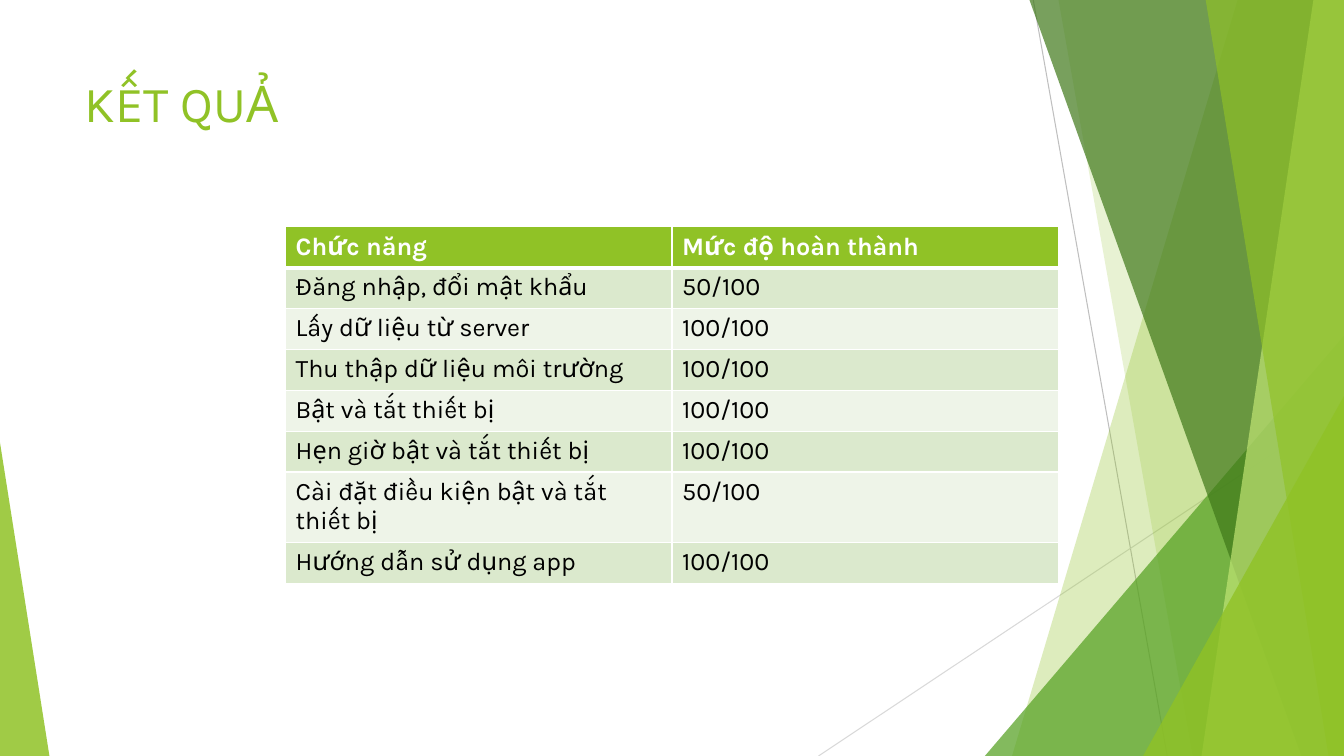
import pptx
import pptx.dml.color
import pptx.enum.shapes
import pptx.enum.text
import pptx.oxml.ns
import pptx.util
from lxml import etree

COLORS = {
    "lime": "90C226",
    "green": "54A021",
    "forest": "3F7819",
    "pale": "C0E474",
    "grey": "BFBFBF",
    "silver": "D9D9D9",
    "band": "DBE9CD",
    "band_light": "EEF4E8",
    "white": "FFFFFF",
    "black": "000000",
}
FONT = "Karla"
WIDTH = pptx.util.Inches(13.33)
HEIGHT = pptx.util.Inches(7.5)
FACET_TOP = -0.1

RESULTS = [
    ("Chức năng", "Mức độ hoàn thành"),
    ("Đăng nhập, đổi mật khẩu", "50/100"),
    ("Lấy dữ liệu từ server", "100/100"),
    ("Thu thập dữ liệu môi trường", "100/100"),
    ("Bật và tắt thiết bị", "100/100"),
    ("Hẹn giờ bật và tắt thiết bị", "100/100"),
    ("Cài đặt điều kiện bật và tắt thiết bị", "50/100"),
    ("Hướng dẫn sử dụng app", "100/100"),
]


def across(percent):
    return round(WIDTH * percent / 100)


def down(percent):
    return round(HEIGHT * percent / 100)


def rgb(name):
    return pptx.dml.color.RGBColor.from_string(COLORS[name])


def sub(parent, tag, **attrs):
    return etree.SubElement(parent, pptx.oxml.ns.qn(tag), **attrs)


def paint(sp, color, opacity):
    sp.shadow.inherit = False
    sp.line.fill.background()
    sp.fill.solid()
    sp.fill.fore_color.rgb = rgb(color)
    clr = next(sp._element.spPr.iter(pptx.oxml.ns.qn("a:srgbClr")))
    sub(clr, "a:alpha", val=str(opacity * 1000))


def add_facet(s, top_x, bottom_x, color, opacity):
    fb = s.shapes.build_freeform(across(top_x), down(FACET_TOP))
    fb.add_line_segments([
        (across(100), down(FACET_TOP)),
        (across(100), down(100)),
        (across(bottom_x), down(100)),
    ])
    paint(fb.convert_to_shape(), color, opacity)


def add_corner(s, left, right, top, apex, color, opacity):
    sp = s.shapes.add_shape(
        pptx.enum.shapes.MSO_SHAPE.ISOSCELES_TRIANGLE,
        across(left), down(top), across(right - left), down(100 - top))
    sp.adjustments[0] = apex
    paint(sp, color, opacity)


def add_ray(s, start, end, color):
    line = s.shapes.add_connector(
        pptx.enum.shapes.MSO_CONNECTOR.STRAIGHT,
        across(start[0]), down(start[1]), across(end[0]), down(end[1]))
    line.line.color.rgb = rgb(color)
    line.line.width = pptx.util.Pt(0.75)
    sub(line._element.spPr, "a:effectLst")


def add_run(p, text, size, color, bold=False):
    r = p.add_run()
    r.text = text
    r.font.name = FONT
    r.font.size = pptx.util.Pt(size)
    r.font.bold = bold
    r.font.color.rgb = rgb(color)


def add_title(s, text):
    sp = s.shapes.add_textbox(across(5.55), down(8.93), across(70.5), down(19.2))
    tf = sp.text_frame
    tf.word_wrap = True
    tf.vertical_anchor = pptx.enum.text.MSO_ANCHOR.TOP
    add_run(tf.paragraphs[0], text, 36, "lime")


def set_borders(cell, top, bottom):
    tcPr = cell._tc.get_or_add_tcPr()
    for side, points in (("L", 1), ("R", 1), ("T", top), ("B", bottom)):
        ln = sub(tcPr, f"a:ln{side}", w=str(pptx.util.Pt(points)))
        sub(sub(ln, "a:solidFill"), "a:srgbClr", val=COLORS["white"])


def add_results(s, rows):
    table = s.shapes.add_table(
        len(rows), len(rows[0]), across(21.25), down(30),
        across(57.5), down(5.41 * len(rows))).table
    for i, row in enumerate(rows):
        header = i == 0
        fill = "lime" if header else ("band" if i % 2 else "band_light")
        for j, text in enumerate(row):
            cell = table.cell(i, j)
            set_borders(cell, 3 if i == 1 else 1, 3 if header else 1)
            cell.fill.solid()
            cell.fill.fore_color.rgb = rgb(fill)
            add_run(cell.text_frame.paragraphs[0], text, 18,
                    "white" if header else "black", header)


def add_backdrop(s):
    add_ray(s, (76.88, 0), (86.85, 100), "grey")
    add_ray(s, (100, 53.73), (60.9, 100), "silver")
    add_facet(s, 92.1, 75.3, "lime", 30)
    add_facet(s, 78.75, 88.73, "lime", 20)
    add_corner(s, 73.28, 100, 44.4, 1, "green", 72)
    add_facet(s, 76.58, 96.83, "forest", 70)
    add_facet(s, 97.73, 89.4, "pale", 70)
    add_facet(s, 89.7, 98.85, "lime", 65)
    add_corner(s, 85.05, 100, 52.4, 1, "lime", 80)
    add_corner(s, 0, 3.68, 58.53, 0, "lime", 85)


def main():
    prs = pptx.Presentation()
    prs.slide_width, prs.slide_height = WIDTH, HEIGHT
    s = prs.slides.add_slide(prs.slide_layouts[6])
    add_backdrop(s)
    add_title(s, "KẾT QUẢ")
    add_results(s, RESULTS)
    prs.save("out.pptx")


if __name__ == "__main__":
    main()
